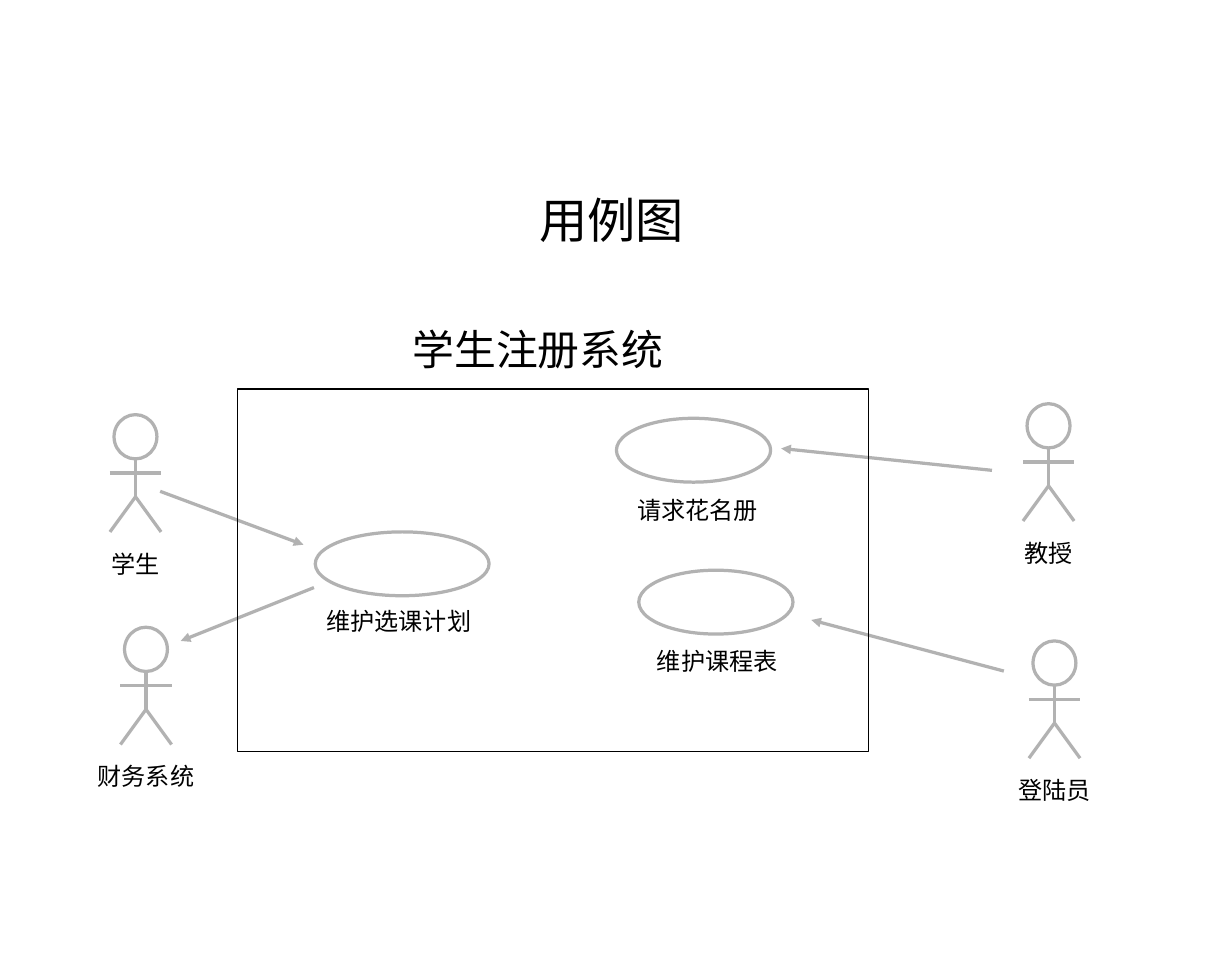
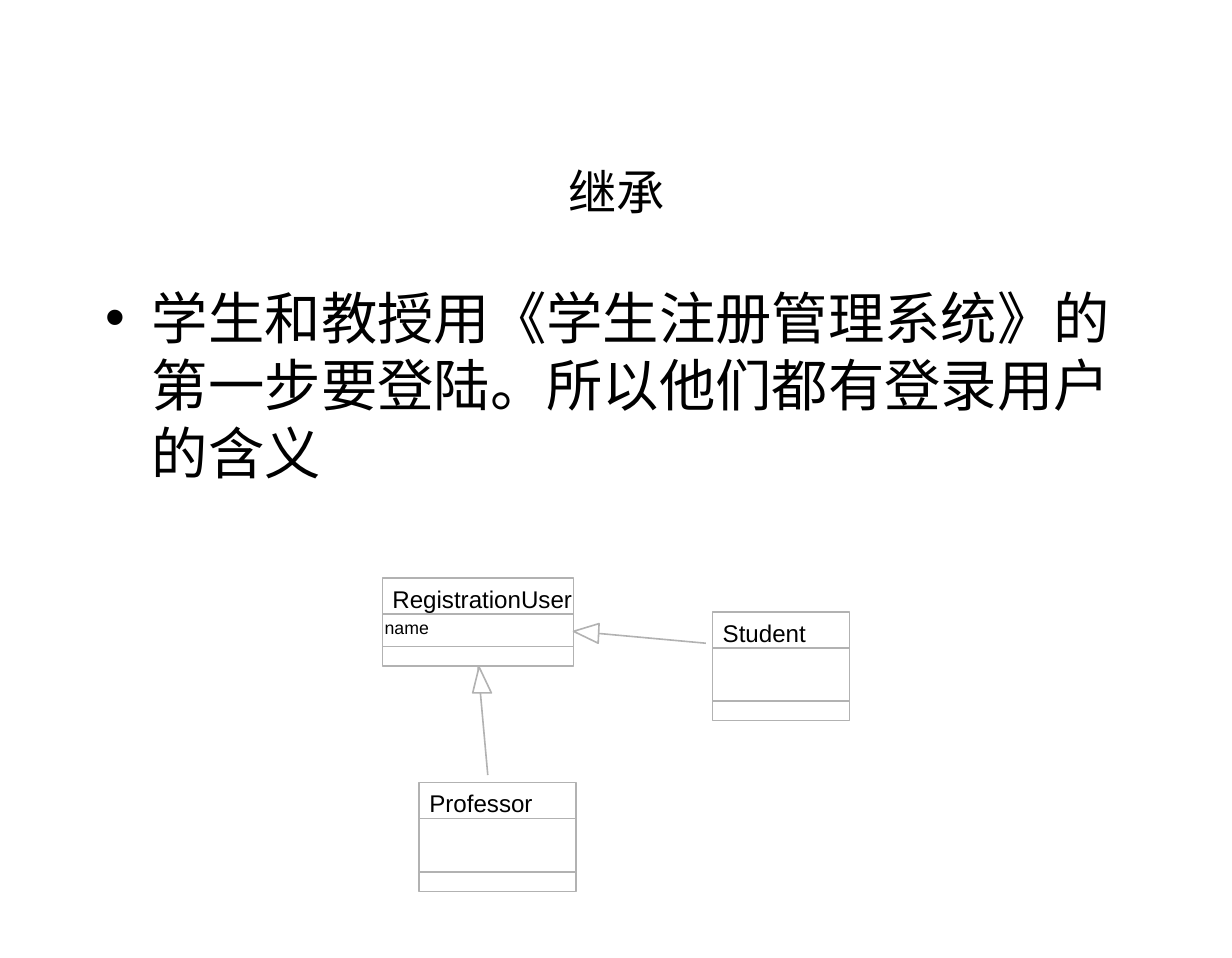
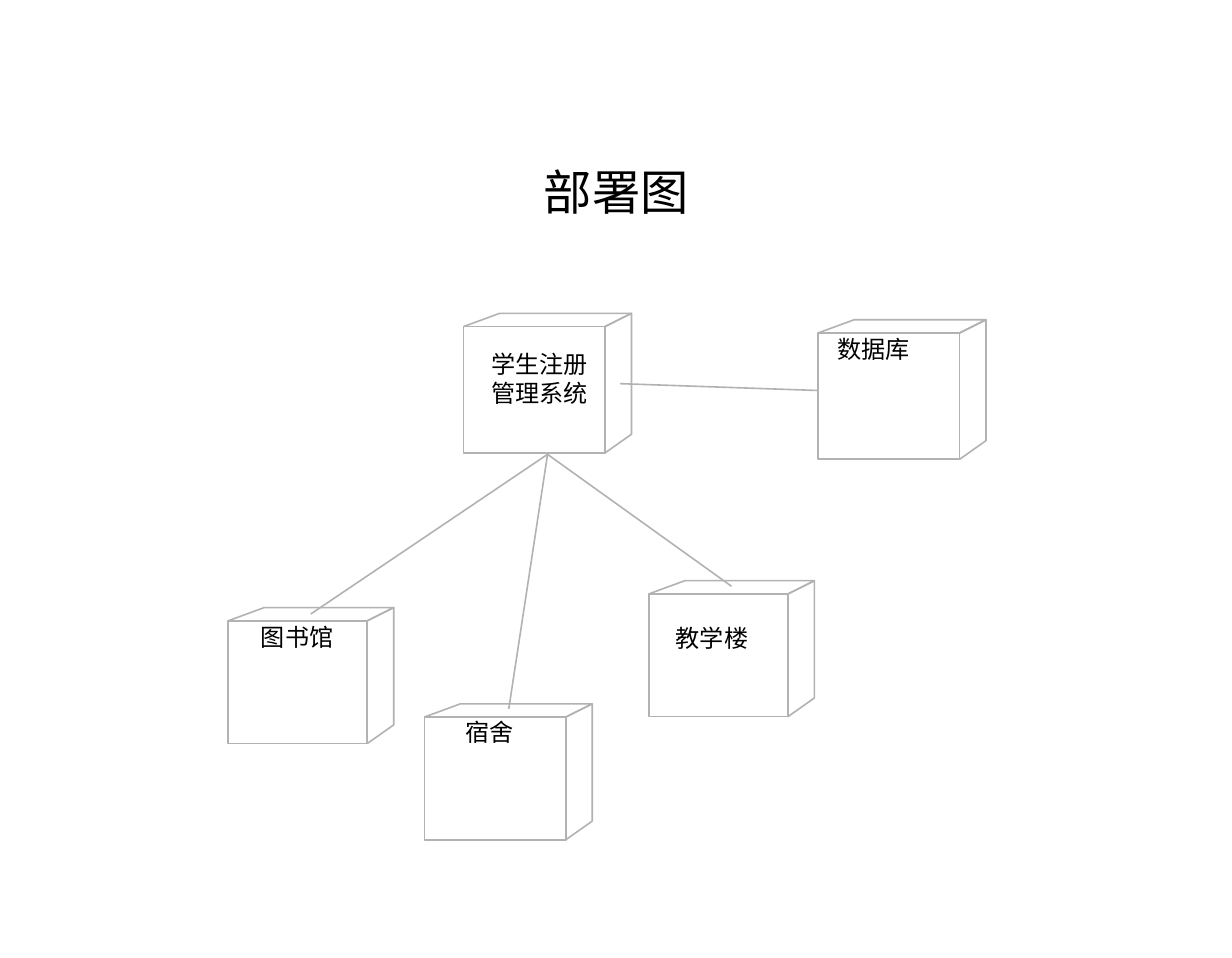
from dataclasses import dataclass

from lxml.etree import SubElement
from pptx import Presentation
from pptx.dml.color import RGBColor
from pptx.enum.shapes import MSO_CONNECTOR, MSO_SHAPE
from pptx.enum.text import MSO_ANCHOR, MSO_AUTO_SIZE, PP_ALIGN
from pptx.oxml.ns import qn
from pptx.util import Cm, Pt

COLORS = {"text": "000000", "outline": "B2B2B2", "paper": "FFFFFF"}
TITLE_FONT = "Times New Roman"
LABEL_FONT = "Arial"
LABEL_SIZE = 15
CHARACTER_WIDTH = 0.53
WIDE_INSETS = (0.28, 0.13)
NO_INSETS = (0, 0)
TITLE_AREA = (2.03, 3.02, 22.96, 2.34)

Point = tuple[float, float]
Area = tuple[float, float, float, float]


@dataclass
class Actor:
    name: str
    center: float
    top: float


@dataclass
class UseCase:
    name: str
    area: Area
    label_center: float
    label_top: float


@dataclass
class ClassBox:
    name: str
    area: Area
    dividers: Point
    label_width: float


@dataclass
class Node:
    name: str
    area: Area
    label: Point


ACTORS = [
    Actor("学生", 2.97, 9.09),
    Actor("登陆员", 23.11, 14.05),
    Actor("教授", 22.98, 8.85),
    Actor("财务系统", 3.2, 13.75),
]
USE_CASES = [
    UseCase("维护选课计划", (6.91, 11.66, 3.81, 1.4), 8.74, 13.16),
    UseCase("维护课程表", (14, 12.5, 3.38, 1.4), 15.72, 14.03),
    UseCase("请求花名册", (13.51, 9.17, 3.38, 1.4), 15.29, 10.73),
]
MESSAGES = [
    ((21.74, 10.31), (17.12, 9.83)),
    ((3.51, 10.77), (6.65, 11.94)),
    ((6.88, 12.88), (3.96, 14.05)),
    ((22, 14.71), (17.78, 13.59)),
]
PARENT = ClassBox("RegistrationUser", (8.38, 12.67, 4.19, 1.93), (0.79, 1.5), 4.2)
CHILDREN = [
    ClassBox("Student", (15.62, 13.41, 3, 2.39), (0.79, 1.96), 2.2),
    ClassBox("Professor", (9.19, 17.15, 3.43, 2.39), (0.79, 1.96), 2.6),
]
NODES = [
    Node("学生注册\n管理系统", (10.16, 7.16, 3.1, 2.77), (10.77, 7.65)),
    Node("数据库", (17.93, 7.3, 3.1, 2.77), (18.36, 7.34)),
    Node("图书馆", (5, 13.61, 3.05, 2.69), (5.72, 13.64)),
    Node("宿舍", (9.3, 15.72, 3.1, 2.69), (10.21, 15.72)),
    Node("教学楼", (14.22, 13.02, 3.05, 2.69), (14.81, 13.67)),
]
HUB = (12, 9.96)
LINKS = [
    (HUB, (6.81, 13.46)),
    (HUB, (11.15, 15.54)),
    (HUB, (16.03, 12.85)),
    ((13.59, 8.41), (17.93, 8.56)),
]


def write_text(frame, text: str, *, size: float = LABEL_SIZE, font: str = LABEL_FONT,
               align=PP_ALIGN.LEFT, anchor=MSO_ANCHOR.TOP, insets: Point = NO_INSETS,
               wrap: bool = True, grow: bool = False, bullet: str = "") -> None:
    frame.word_wrap = wrap
    frame.auto_size = MSO_AUTO_SIZE.SHAPE_TO_FIT_TEXT if grow else MSO_AUTO_SIZE.NONE
    frame.vertical_anchor = anchor
    frame.margin_left = frame.margin_right = Cm(insets[0])
    frame.margin_top = frame.margin_bottom = Cm(insets[1])
    para = frame.paragraphs[0]
    para.alignment = align
    para.space_before = Pt(0)
    if bullet:
        properties = para._p.get_or_add_pPr()
        properties.set("marL", str(Cm(1.02)))
        properties.set("indent", str(Cm(-1.02)))
        SubElement(properties, qn("a:buChar")).set("char", bullet)
    for index, line in enumerate(text.split("\n")):
        if index:
            para.add_line_break()
        span = para.add_run()
        span.text = line
        span.font.size = Pt(size)
        span.font.name = font
        span.font.color.rgb = RGBColor.from_string(COLORS["text"])


def place(shape, area: Area) -> None:
    shape.left, shape.top, shape.width, shape.height = map(Cm, area)


def add_text(page, area: Area, text: str, **style) -> None:
    box = page.shapes.add_textbox(*map(Cm, area))
    write_text(box.text_frame, text, grow=True, **style)


def add_title(page, text: str, area: Area = TITLE_AREA, *, anchor=MSO_ANCHOR.MIDDLE,
              insets: Point = WIDE_INSETS) -> None:
    place(page.shapes.title, area)
    write_text(page.shapes.title.text_frame, text, size=30, font=TITLE_FONT,
               align=PP_ALIGN.CENTER, anchor=anchor, insets=insets)


def set_outline(shape, width: float, color: str = "outline", fill: str = "") -> None:
    shape.shadow.inherit = False
    if fill:
        shape.fill.solid()
        shape.fill.fore_color.rgb = RGBColor.from_string(COLORS[fill])
    else:
        shape.fill.background()
    shape.line.width = Pt(width)
    shape.line.color.rgb = RGBColor.from_string(COLORS[color])


def add_outline(page, kind, area: Area, width: float, color: str = "outline"):
    shape = page.shapes.add_shape(kind, *map(Cm, area))
    set_outline(shape, width, color)
    return shape


def add_path(page, points: list[Point], *, close: bool = False, fill: str = "") -> None:
    corners = [(Cm(x), Cm(y)) for x, y in points]
    builder = page.shapes.build_freeform(*corners[0])
    builder.add_line_segments(corners[1:], close=close)
    set_outline(builder.convert_to_shape(), 1, fill=fill)


def add_line(page, start: Point, end: Point, width: float, *, arrow: bool = False):
    line = page.shapes.add_connector(MSO_CONNECTOR.STRAIGHT, *map(Cm, (*start, *end)))
    line.line.width = Pt(width)
    line.line.color.rgb = RGBColor.from_string(COLORS["outline"])
    if arrow:
        SubElement(line.line._get_or_add_ln(), qn("a:tailEnd")).set("type", "triangle")
    SubElement(line._element.spPr, qn("a:effectLst"))
    return line


def add_caption(page, text: str, center: float, top: float) -> None:
    width = CHARACTER_WIDTH * len(text) + 2 * WIDE_INSETS[0]
    add_text(page, (center - width / 2, top, width, 0.91), text, align=PP_ALIGN.CENTER,
             anchor=MSO_ANCHOR.MIDDLE, insets=WIDE_INSETS, wrap=False)


def draw_actor(page, actor: Actor) -> None:
    x, top = actor.center, actor.top
    left, right = x - 0.56, x + 0.56
    neck, arms, hip, feet = (top + drop for drop in (0.99, 1.28, 1.8, 2.57))
    add_outline(page, MSO_SHAPE.OVAL, (x - 0.47, top, 0.94, 0.97), 2)
    for start, end in (((x, hip), (left, feet)), ((x, hip), (right, feet)),
                       ((x, neck), (x, hip)), ((left, arms), (right, arms))):
        add_line(page, start, end, 2)
    add_caption(page, actor.name, x, top + 2.81)


def draw_class(page, item: ClassBox):
    left, top, width, _ = item.area
    box = add_outline(page, MSO_SHAPE.RECTANGLE, item.area, 1)
    add_text(page, (left + 0.22, top + 0.14, item.label_width, 0.64), item.name, wrap=False)
    for drop in item.dividers:
        add_line(page, (left, top + drop), (left + width, top + drop), 1)
    return box


def draw_node(page, node: Node) -> None:
    left, top, width, height = node.area
    right, bottom = left + width, top + height
    back_right, back_top = right + 0.58, top - 0.29
    add_outline(page, MSO_SHAPE.RECTANGLE, node.area, 1)
    add_path(page, [(left, top), (left + 0.79, back_top), (back_right, back_top), (right, top)])
    add_path(page, [(right, top), (back_right, back_top), (back_right, bottom - 0.41),
                    (right, bottom)])
    lines = node.name.split("\n")
    label_width = CHARACTER_WIDTH * max(map(len, lines))
    add_text(page, (*node.label, label_width, 0.64 * len(lines)), node.name, wrap=False)


def build_use_cases(page) -> None:
    add_title(page, "用例图", (1.9, 4.09, 23.01, 1.4), anchor=MSO_ANCHOR.TOP, insets=(0.18, 0.08))
    for actor in ACTORS:
        draw_actor(page, actor)
    for case in USE_CASES:
        add_outline(page, MSO_SHAPE.OVAL, case.area, 2)
        add_caption(page, case.name, case.label_center, case.label_top)
    for start, end in MESSAGES:
        add_line(page, start, end, 2, arrow=True)
    add_outline(page, MSO_SHAPE.RECTANGLE, (5.21, 8.53, 13.82, 7.95), 0.75, "text")
    add_text(page, (5.84, 6.97, 11.91, 1.37), "学生注册系统", size=26, font="Cabin",
             align=PP_ALIGN.CENTER, insets=WIDE_INSETS)


def build_inheritance(page) -> None:
    add_title(page, "继承")
    body = page.placeholders[1]
    place(body, (2.03, 6.07, 22.96, 12.6))
    write_text(body.text_frame,
               "学生和教授用《学生注册管理系统》的第一步要登陆。所以他们都有登录用户的含义",
               size=35, font=TITLE_FONT, insets=WIDE_INSETS, bullet="•")
    for child in CHILDREN:
        draw_class(page, child)
    parent = draw_class(page, PARENT)
    add_text(page, (8.43, 13.53, 1.3, 0.46), "name", size=11, wrap=False)
    professor_line = add_line(page, (10.69, 16.99), (10.48, 14.6), 1)
    professor_line.end_connect(parent, 2)
    add_line(page, (15.47, 14.1), (12.62, 13.84), 1)
    for triangle in ([(10.5, 14.62), (10.77, 15.19), (10.36, 15.19)],
                     [(12.57, 13.84), (13.13, 13.67), (13.11, 14.1)]):
        add_path(page, triangle, close=True, fill="paper")


def build_deployment(page) -> None:
    add_title(page, "部署图")
    for node in NODES:
        draw_node(page, node)
    for start, end in LINKS:
        add_line(page, start, end, 1)


def main() -> None:
    deck = Presentation()
    deck.slide_width, deck.slide_height = Cm(27), Cm(21)
    title_and_content, title_only = deck.slide_layouts[1], deck.slide_layouts[5]
    for layout, build in ((title_only, build_use_cases),
                          (title_and_content, build_inheritance),
                          (title_only, build_deployment)):
        build(deck.slides.add_slide(layout))
    deck.save("out.pptx")


if __name__ == "__main__":
    main()
